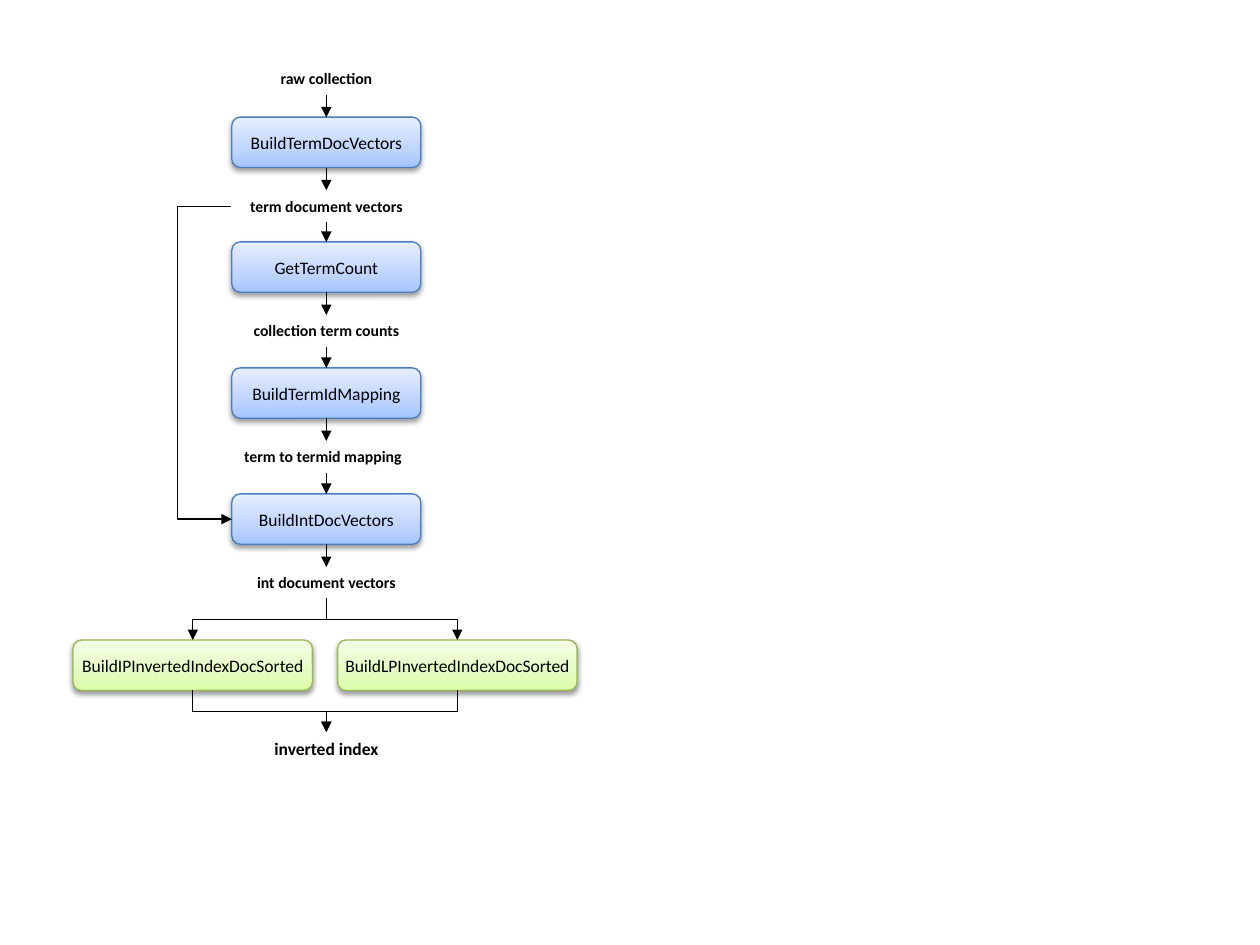
from copy import deepcopy

from pptx import Presentation, util as u
from pptx.dml.color import RGBColor
from pptx.enum import shapes, text
from pptx.oxml import parse_xml
from pptx.oxml.ns import nsdecls, qn

COLORS = {
    "ink": "000000",
    "blue": ("A4C4FF", "BFD4FF", "E6EEFF"), "blue_line": "4B7EBC",
    "green": ("DAFDA7", "E4FCC2", "F5FFE7"), "green_line": "98B955",
}
FONT = "Calibri"
CENTER = 2.59
STEP_W, INDEX_W, BOX_H = 1.5, 1.9, 0.4
LABEL_H = 0.25
# Label, its width, its top, the box below it and that box's top
STAGES = [
    ("raw collection", 0.95, 0.5, "BuildTermDocVectors", 0.93),
    ("term document vectors", 1.5, 1.51, "GetTermCount", 1.92),
    ("collection term counts", 1.41, 2.5, "BuildTermIdMapping", 2.92),
    ("term to termid mapping", 1.5, 3.5, "BuildIntDocVectors", 3.92),
]
INDEXERS = [("BuildIPInvertedIndexDocSorted", 1.53),
            ("BuildLPInvertedIndexDocSorted", 3.63)]
VECTORS_TOP, INDEX_TOP, RESULT_TOP = 4.5, 5.08, 5.81


def rgb(name):
    """Return a colour from its hex string."""
    return RGBColor.from_string(name)


def write(tf, words, size, bold=False, align=text.PP_ALIGN.CENTER):
    """Put one formatted paragraph into a text frame."""
    p = tf.paragraphs[0]
    p.text = words
    p.alignment = align
    p.font.name, p.font.size, p.font.bold = FONT, u.Pt(size), bold
    p.font.color.rgb = rgb(COLORS["ink"])


def add_label(slide, words, top, width, size=9, height=LABEL_H,
              align=text.PP_ALIGN.CENTER):
    """Add a bold data label centred on the main column."""
    sp = slide.shapes.add_textbox(u.Inches(CENTER - width / 2), u.Inches(top),
                                  u.Inches(width), u.Inches(height))
    sp.text_frame.word_wrap = False
    write(sp.text_frame, words, size, True, align)


def add_box(slide, words, center, top, width, tone, inset=0.1):
    """Add a shaded, rounded process box centred on a given x."""
    sp = slide.shapes.add_shape(
        shapes.MSO_SHAPE.ROUNDED_RECTANGLE, u.Inches(center - width / 2),
        u.Inches(top), u.Inches(width), u.Inches(BOX_H))
    sp.fill.gradient()
    sp.fill.gradient_angle = 90
    stop_list = sp._element.spPr.find(".//" + qn("a:gsLst"))
    stop_list.append(deepcopy(stop_list[-1]))
    for stop, position, color in zip(sp.fill.gradient_stops, (0, 0.35, 1),
                                     COLORS[tone]):
        stop.position, stop.color.rgb = position, rgb(color)
    sp.line.color.rgb = rgb(COLORS[tone + "_line"])
    sp.line.width = u.Pt(0.75)
    sp._element.spPr.append(parse_xml(
        f'<a:effectLst {nsdecls("a")}><a:outerShdw blurRad="{u.Pt(3.1)}" '
        f'dist="{u.Pt(1.6)}" dir="5400000" rotWithShape="0">'
        f'<a:srgbClr val="{COLORS["ink"]}"><a:alpha val="38000"/></a:srgbClr>'
        '</a:outerShdw></a:effectLst>'))
    tf = sp.text_frame
    tf.word_wrap = True
    tf.vertical_anchor = text.MSO_ANCHOR.MIDDLE
    tf.margin_left = tf.margin_right = u.Inches(inset)
    tf.margin_top = tf.margin_bottom = u.Inches(inset / 2)
    write(tf, words, 10)


def add_arrow(slide, x1, y1, x2, y2, kind=shapes.MSO_CONNECTOR.STRAIGHT):
    """Add a thin connector with an arrowhead at its end."""
    cn = slide.shapes.add_connector(kind, *map(u.Inches, (x1, y1, x2, y2)))
    cn.line.color.rgb = rgb(COLORS["ink"])
    cn.line.width = u.Pt(0.75)
    cn.line._get_or_add_ln().append(
        parse_xml(f'<a:tailEnd {nsdecls("a")} type="triangle"/>'))
    cn._element.spPr.append(parse_xml(f'<a:effectLst {nsdecls("a")}/>'))
    return cn


def add_drop(slide, x1, y1, x2, y2):
    """Add an elbow that leaves and arrives vertically, turned at half height."""
    cx, cy = (x1 + x2) / 2, (y1 + y2) / 2
    side = 1 if x2 < x1 else -1
    half_w, half_h = side * (y2 - y1) / 2, abs(x2 - x1) / 2
    cn = add_arrow(slide, cx - half_w, cy - half_h, cx + half_w, cy + half_h,
                   shapes.MSO_CONNECTOR.ELBOW)
    cn.rotation = 90 if side > 0 else 270


def add_bypass(slide, x, y1, y2, reach):
    """Add an elbow that runs round the left side of the column."""
    gap = 0.01
    cn = add_arrow(slide, x - gap, y1, x, y2, shapes.MSO_CONNECTOR.ELBOW)
    guides = cn._element.spPr.find(qn("a:prstGeom")).get_or_add_avLst()
    guides.append(parse_xml(f'<a:gd {nsdecls("a")} name="adj1" '
                            f'fmla="val {round(-reach / gap * 100000)}"/>'))


def add_pipeline(slide):
    """Build the column of labels and blue process boxes."""
    next_tops = [stage[2] for stage in STAGES[1:]] + [VECTORS_TOP]
    for (label, width, top, step, box_top), following in zip(STAGES, next_tops):
        align = (text.PP_ALIGN.LEFT if step == "BuildIntDocVectors"
                 else text.PP_ALIGN.CENTER)
        add_box(slide, step, CENTER, box_top, STEP_W, "blue")
        add_label(slide, label, top, width, align=align)
        add_arrow(slide, CENTER, top + LABEL_H, CENTER, box_top)
        add_arrow(slide, CENTER, box_top + BOX_H, CENTER, following)
    add_bypass(slide, CENTER - STEP_W / 2, 1.64, STAGES[-1][4] + BOX_H / 2, 0.43)


def add_index_branches(slide):
    """Build the two green indexers between their input and result."""
    add_label(slide, "int document vectors", VECTORS_TOP, 1.67)
    for name, x in INDEXERS:
        add_box(slide, name, x, INDEX_TOP, INDEX_W, "green", inset=0)
        add_drop(slide, CENTER, VECTORS_TOP + LABEL_H, x, INDEX_TOP)
        add_drop(slide, x, INDEX_TOP + BOX_H, CENTER, RESULT_TOP)
    add_label(slide, "inverted index", RESULT_TOP, 1.05, 10, 0.27)


prs = Presentation()
prs.slide_width, prs.slide_height = u.Inches(10), u.Inches(7.5)
slide = prs.slides.add_slide(prs.slide_layouts[6])
add_pipeline(slide)
add_index_branches(slide)
prs.save("out.pptx")
